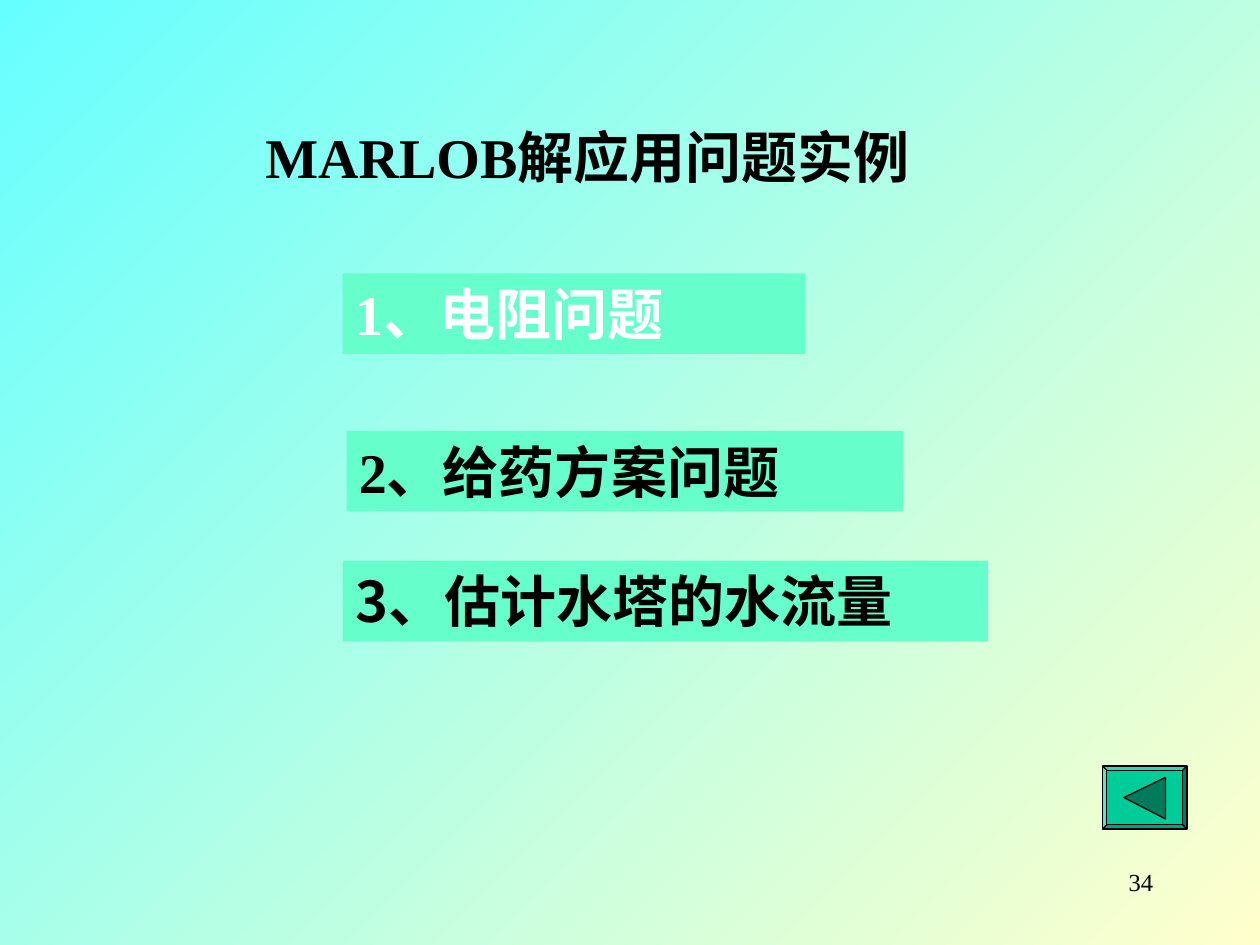
"""Build the menu slide of worked application examples."""
from dataclasses import dataclass

from pptx import Presentation
from pptx import util as u
from pptx.dml.color import RGBColor
from pptx.enum import shapes, text
from pptx.oxml.ns import qn


@dataclass(frozen=True)
class Theme:
    """Hold the colours, fonts and type sizes."""
    sky: str = "66FFFF"
    cream: str = "FFFFCC"
    mint: str = "66FFCC"
    button: str = "00CC99"
    arrow: str = "007A5C"
    black: str = "000000"
    white: str = "FFFFFF"
    latin: str = "Times New Roman"
    asian: str = "Noto Sans CJK SC"
    heading: int = 32
    number: int = 14


def rgb(value):
    """Turn a hex string into a colour."""
    return RGBColor.from_string(value)


def write(tf, content, font, size, color, asian, bold=False, align=text.PP_ALIGN.LEFT):
    """Fill a text frame with one formatted run."""
    tf.word_wrap = True
    tf.vertical_anchor = text.MSO_ANCHOR.TOP
    p = tf.paragraphs[0]
    p.alignment = align
    r = p.add_run()
    r.text = content
    r.font.name, r.font.size, r.font.bold = font, u.Pt(size), bold
    r.font.color.rgb = rgb(color)
    ea = r.font._element.makeelement(qn("a:ea"), {"typeface": asian})
    r.font._element.find(qn("a:latin")).addnext(ea)


class Deck:
    """Hold the theme and the current slide."""

    def __init__(self, prs, theme):
        """Add a blank slide."""
        self.t = theme
        self.s = prs.slides.add_slide(prs.slide_layouts[6])

    def background(self):
        """Paint the diagonal gradient."""
        fill = self.s.background.fill
        fill.gradient()
        fill.gradient_angle = 315
        for stop, color, place in zip(fill.gradient_stops, (self.t.sky, self.t.cream), (0, 1)):
            stop.color.rgb = rgb(color)
            stop.position = place

    def label(self, content, box, **fmt):
        """Add a plain text box."""
        sp = self.s.shapes.add_textbox(*map(u.Inches, box))
        write(sp.text_frame, content, asian=self.t.asian, **fmt)

    def paint(self, sp, fill, outlined=False):
        """Set the fill and line of a shape."""
        sp.shadow.inherit = False
        sp.fill.solid()
        sp.fill.fore_color.rgb = rgb(fill)
        if outlined:
            sp.line.color.rgb = rgb(self.t.black)
            sp.line.width = u.Pt(0.75)
        else:
            sp.line.fill.background()

    def item(self, content, box, **fmt):
        """Add a filled menu entry."""
        sp = self.s.shapes.add_shape(shapes.MSO_SHAPE.RECTANGLE, *map(u.Inches, box))
        self.paint(sp, self.t.mint)
        write(sp.text_frame, content, size=self.t.heading, asian=self.t.asian, bold=True, **fmt)

    def back_button(self, box, arrow):
        """Add a bevelled button with a left arrow."""
        sp = self.s.shapes.add_shape(shapes.MSO_SHAPE.BEVEL, *map(u.Inches, box))
        sp.adjustments[0] = 0.07
        self.paint(sp, self.t.button, outlined=True)
        start, *rest = [tuple(map(u.Inches, point)) for point in arrow]
        fb = self.s.shapes.build_freeform(*start)
        fb.add_line_segments(rest)
        self.paint(fb.convert_to_shape(), self.t.arrow, outlined=True)


def main():
    """Compose and save the slide."""
    prs = Presentation()
    prs.slide_width, prs.slide_height = u.Inches(10), u.Inches(7.5)
    t = Theme()
    deck = Deck(prs, t)
    deck.background()
    deck.label("34", (7.17, 6.83, 2.08, 0.5), font=t.latin, size=t.number,
               color=t.black, align=text.PP_ALIGN.RIGHT)
    deck.label("MARLOB解应用问题实例", (1.75, 0.92, 5.83, 0.64), font=t.latin,
               size=t.heading, color=t.black, bold=True, align=text.PP_ALIGN.CENTER)
    items = (
        ("1、电阻问题", 2.72, 2.17, 3.67, t.latin, t.white),
        ("2、给药方案问题", 2.75, 3.42, 4.42, t.latin, t.black),
        ("3、估计水塔的水流量", 2.72, 4.45, 5.12, t.asian, t.black),
    )
    for content, left, top, width, font, color in items:
        deck.item(content, (left, top, width, 0.64), font=font, color=color)
    deck.back_button((8.75, 6.08, 0.67, 0.5), ((8.92, 6.33), (9.25, 6.17), (9.25, 6.5)))
    prs.save("out.pptx")


if __name__ == "__main__":
    main()
